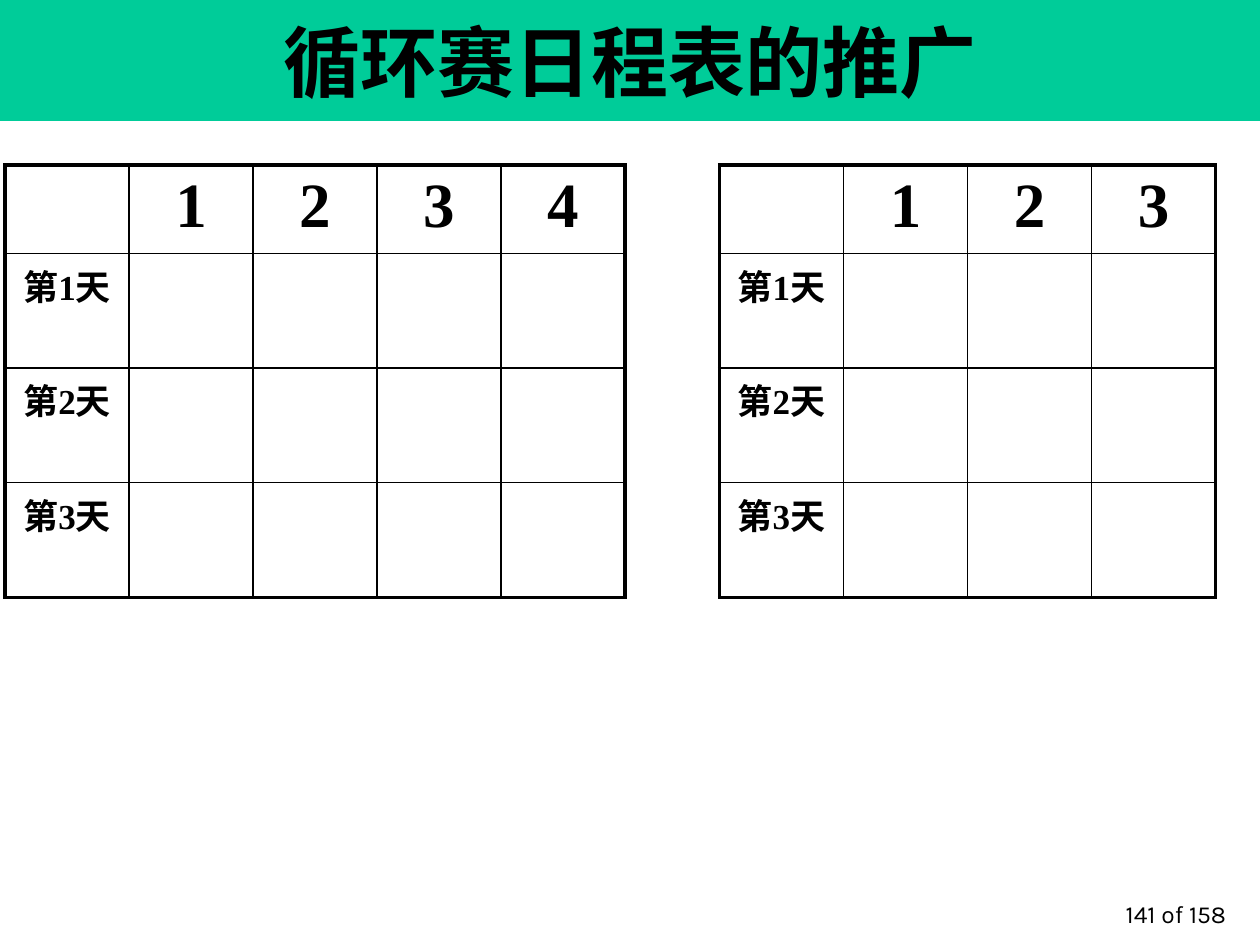
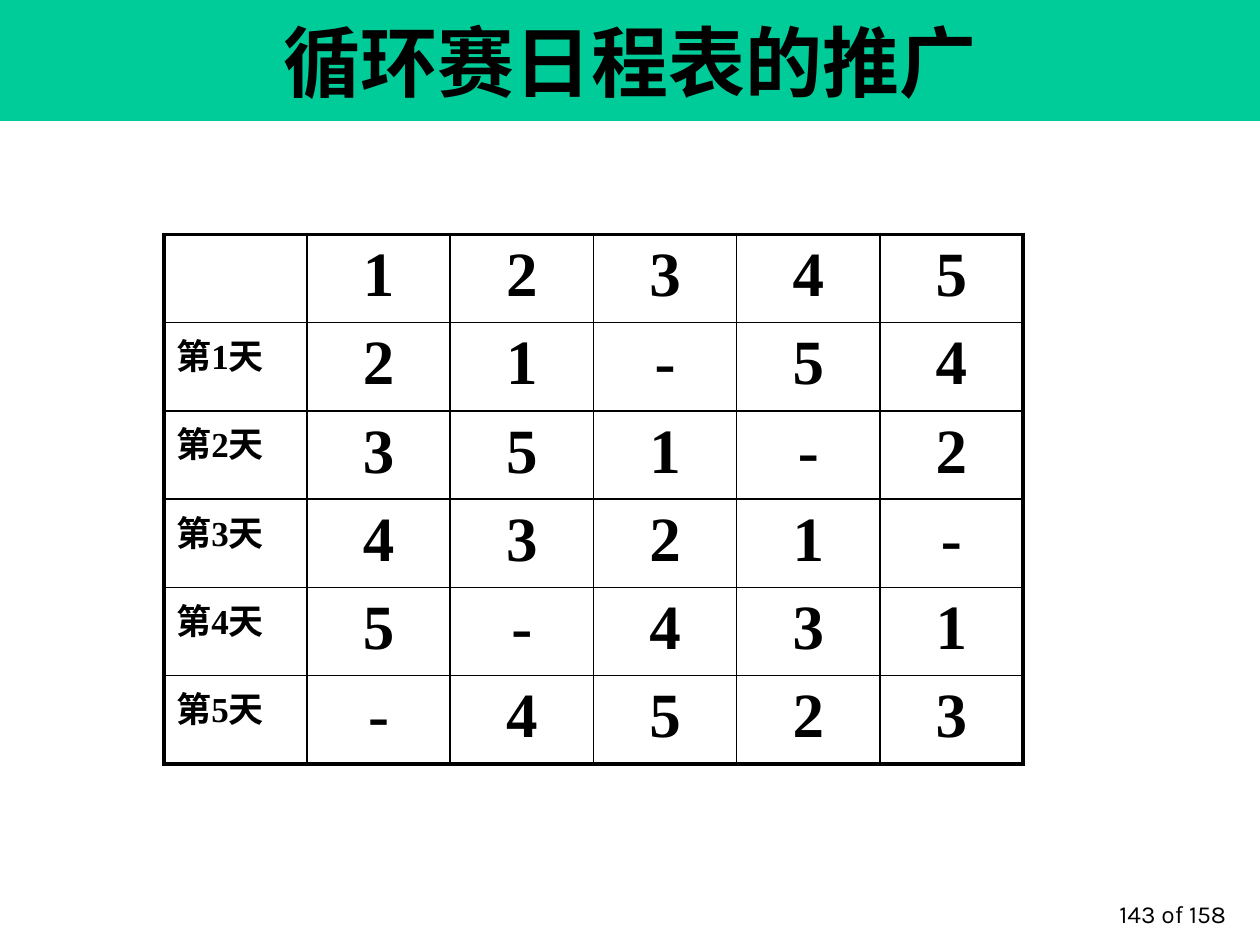
from lxml import etree
from pptx import Presentation
from pptx.dml.color import RGBColor
from pptx.enum.shapes import MSO_SHAPE
from pptx.enum.text import MSO_ANCHOR, PP_ALIGN
from pptx.oxml.ns import qn
from pptx.util import Inches, Pt

LEFT, CENTER, RIGHT = PP_ALIGN.LEFT, PP_ALIGN.CENTER, PP_ALIGN.RIGHT
MIDDLE, BOTTOM = MSO_ANCHOR.MIDDLE, MSO_ANCHOR.BOTTOM
RECTANGLE = MSO_SHAPE.RECTANGLE

BLACK, GREEN = "000000", "00CC99"
SERIF, SANS = "Times New Roman", "Karla"
THICK, THIN = 2.25, 1
ROW_HEIGHT = 0.7
WRAPPED_ROW_HEIGHT = 0.91  # room for a day label on two lines

TITLE = "循环赛日程表的推广"
PAGE_COUNT = 158

# Each schedule: one row of opponents per day, one column per player.
SLIDES = [
    {"page": 141, "schedules": [
        {"left": 0.04, "top": 1.31, "width": 4.92, "day_align": CENTER,
         "day_height": WRAPPED_ROW_HEIGHT, "days": [[""] * 4] * 3},
        {"left": 5.71, "top": 1.31, "width": 3.94, "day_align": CENTER,
         "day_height": WRAPPED_ROW_HEIGHT, "days": [[""] * 3] * 3},
    ]},
    {"page": 143, "schedules": [
        {"left": 1.3, "top": 1.86, "width": 6.82, "day_align": LEFT,
         "day_height": ROW_HEIGHT,
         "days": ["21-54", "351-2", "4321-", "5-431", "-4523"]},
    ]},
]


def rgb(color):
    return RGBColor.from_string(color)


def write(text_frame, text, size, align, font_name=SERIF, bold=True):
    paragraph = text_frame.paragraphs[0]
    paragraph.alignment = align
    run = paragraph.add_run()
    run.text = text
    run.font.size = Pt(size)
    run.font.name = font_name
    run.font.bold = bold
    run.font.color.rgb = rgb(BLACK)


def add_title_band(slide):
    band = slide.shapes.add_shape(RECTANGLE, 0, 0, Inches(10), Inches(0.96))
    band.shadow.inherit = False
    band.fill.solid()
    band.fill.fore_color.rgb = rgb(GREEN)
    band.line.fill.background()
    band.text_frame.word_wrap = True
    band.text_frame.vertical_anchor = MIDDLE
    write(band.text_frame, TITLE, 44, CENTER)


def add_page_number(slide, page):
    box = slide.shapes.add_textbox(Inches(7.75), Inches(6.92), Inches(2.08), Inches(0.5))
    box.text_frame.word_wrap = True
    box.text_frame.vertical_anchor = BOTTOM
    write(box.text_frame, f"{page} of {PAGE_COUNT}", 14, RIGHT, SANS, bold=False)


def set_borders(cell, widths):
    """Draw black borders; widths are points for left, right, top, bottom."""
    properties = cell._tc.get_or_add_tcPr()
    for side, width in zip("LRTB", widths):
        line = etree.SubElement(properties, qn(f"a:ln{side}"), w=str(Pt(width)))
        fill = etree.SubElement(line, qn("a:solidFill"))
        etree.SubElement(fill, qn("a:srgbClr"), val=BLACK)


def add_schedule(slide, left, top, width, day_align, day_height, days):
    players = [str(number + 1) for number in range(len(days[0]))]
    rows = [["", *players]]
    rows += [[f"第{number}天", *day] for number, day in enumerate(days, 1)]
    heights = [ROW_HEIGHT] + [day_height] * len(days)
    last_row, last_column = len(rows) - 1, len(players)

    frame = slide.shapes.add_table(
        len(rows), len(rows[0]), Inches(left), Inches(top),
        Inches(width), Inches(sum(heights)))
    table = frame.table
    table.first_row = table.horz_banding = False
    for column in table.columns:
        column.width = Inches(width / len(rows[0]))

    for row_index, (row, height) in enumerate(zip(rows, heights)):
        table.rows[row_index].height = Inches(height)
        for column_index, text in enumerate(row):
            cell = table.cell(row_index, column_index)
            outer_sides = (column_index == 0, column_index == last_column,
                           row_index == 0, row_index == last_row)
            set_borders(cell, [THICK if outer else THIN for outer in outer_sides])
            cell.fill.background()
            if text:
                is_day = column_index == 0
                write(cell.text_frame, text, 20 if is_day else 36,
                      day_align if is_day else CENTER)


def main():
    presentation = Presentation()
    presentation.slide_width, presentation.slide_height = Inches(10), Inches(7.5)
    for content in SLIDES:
        slide = presentation.slides.add_slide(presentation.slide_layouts[6])
        add_title_band(slide)
        add_page_number(slide, content["page"])
        for schedule in content["schedules"]:
            add_schedule(slide, **schedule)
    presentation.save("out.pptx")


if __name__ == "__main__":
    main()
